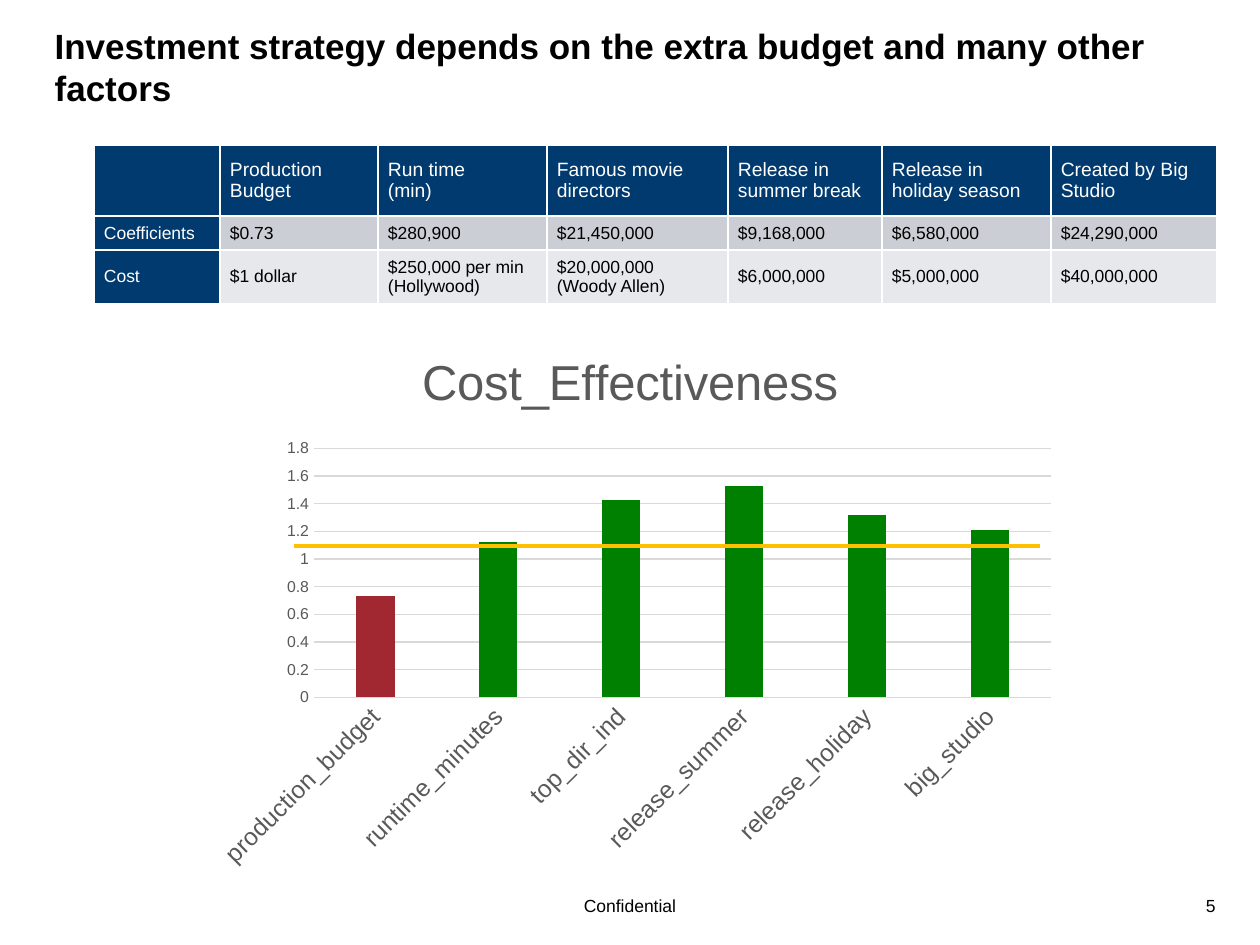
from lxml import etree
from pptx import Presentation
from pptx import util as u
from pptx.chart.data import CategoryChartData
from pptx.dml.color import RGBColor
from pptx.enum import chart as ch, shapes, text
from pptx.oxml import parse_xml
from pptx.oxml.ns import nsdecls, qn

BLACK = RGBColor(0x00, 0x00, 0x00)
WHITE = RGBColor(0xFF, 0xFF, 0xFF)
NAVY = RGBColor(0x00, 0x3A, 0x6F)
MID_GREY = RGBColor(0xCC, 0xCE, 0xD5)
PALE_GREY = RGBColor(0xE7, 0xE8, 0xEB)
AXIS_TEXT = RGBColor(0x59, 0x59, 0x59)
GRID = RGBColor(0xD9, 0xD9, 0xD9)
GREEN = RGBColor(0x00, 0x80, 0x00)
RED = RGBColor(0xA1, 0x28, 0x30)
AMBER = RGBColor(0xFF, 0xC0, 0x00)
FONT = "Arial"
LEFT, CENTER, RIGHT = text.PP_ALIGN.LEFT, text.PP_ALIGN.CENTER, text.PP_ALIGN.RIGHT


def px(*lengths):
    """Turn px (126 to the inch) into a list of EMU."""
    return [u.Emu(round(n * 914400 / 126)) for n in lengths]


def write(frame, lines, size, color, align=LEFT, bold=False):
    for i, line in enumerate(lines):
        para = frame.paragraphs[0] if i == 0 else frame.add_paragraph()
        para.alignment = align
        run = para.add_run()
        run.text = line
        run.font.name, run.font.size, run.font.bold = FONT, u.Pt(size), bold
        run.font.color.rgb = color


prs = Presentation()
prs.slide_width, prs.slide_height = px(1260, 945)
slide = prs.slides.add_slide(prs.slide_layouts[5])

# Title
title = slide.shapes.title
title.left, title.top, title.width, title.height = px(42, 18, 1176, 97)
title.text_frame.vertical_anchor = text.MSO_ANCHOR.MIDDLE
title.text_frame.auto_size = text.MSO_AUTO_SIZE.NONE
write(title.text_frame,
      ["Investment strategy depends on the extra budget and many other factors"],
      20, BLACK, bold=True)

# Footer and page number
for label, box, align in [("Confidential", (252, 889, 756, 34), CENTER),
                          ("5", (1171, 889, 57, 34), RIGHT)]:
    footer = slide.shapes.add_textbox(*px(*box)).text_frame
    footer.word_wrap = True
    write(footer, [label], 10, BLACK, align)

# Coefficients and costs
rows = [
    [[], ["Production Budget"], ["Run time", "(min)"], ["Famous movie directors"],
     ["Release in summer break"], ["Release in holiday season"],
     ["Created by Big Studio"]],
    [["Coefficients"], ["$0.73"], ["$280,900"], ["$21,450,000"], ["$9,168,000"],
     ["$6,580,000"], ["$24,290,000"]],
    [["Cost"], ["$1 dollar"], ["$250,000 per min (Hollywood)"],
     ["$20,000,000", "(Woody Allen)"], ["$6,000,000"], ["$5,000,000"],
     ["$40,000,000"]],
]
col_widths = [126, 158, 169, 181, 154, 169, 166]
row_heights = [71, 34, 54]
row_fills = [NAVY, MID_GREY, PALE_GREY]
costs = slide.shapes.add_table(
    len(rows), len(col_widths),
    *px(94, 145, sum(col_widths), sum(row_heights))).table
for column, width in zip(costs.columns, px(*col_widths)):
    column.width = width
for row, height in zip(costs.rows, px(*row_heights)):
    row.height = height
for r, row in enumerate(rows):
    for c, lines in enumerate(row):
        cell = costs.cell(r, c)
        heading = r == 0 or c == 0
        cell.fill.solid()
        cell.fill.fore_color.rgb = NAVY if heading else row_fills[r]
        cell.vertical_anchor = text.MSO_ANCHOR.MIDDLE
        cell.margin_left, cell.margin_right, cell.margin_top, cell.margin_bottom = px(10, 9, 0, 0)
        write(cell.text_frame, lines, 11 if r == 0 else 10, WHITE if heading else BLACK)

# Cost effectiveness chart
data = CategoryChartData()
data.categories = ["production_budget", "runtime_minutes", "top_dir_ind",
                   "release_summer", "release_holiday", "big_studio"]
data.add_series("Cost_Effectiveness", [0.73, 1.12, 1.43, 1.53, 1.32, 1.21])
chart = slide.shapes.add_chart(ch.XL_CHART_TYPE.COLUMN_CLUSTERED,
                               *px(191, 324, 878, 566), data).chart
chart.has_legend = False
chart.font.name, chart.font.size, chart.font.color.rgb = FONT, u.Pt(10), BLACK
chart.has_title = True
write(chart.chart_title.text_frame, ["Cost_Effectiveness"], 28, AXIS_TEXT, CENTER)
chart.chart_title.include_in_layout = False

for axis, size in [(chart.category_axis, 14), (chart.value_axis, 9)]:
    axis.major_tick_mark = axis.minor_tick_mark = ch.XL_TICK_MARK.NONE
    labels = axis.tick_labels.font
    labels.name, labels.size, labels.color.rgb = FONT, u.Pt(size), AXIS_TEXT
chart.category_axis.tick_labels.offset = 300
chart.category_axis.format.line.color.rgb = GRID
chart.category_axis.format.line.width = u.Pt(0.75)
chart.category_axis._element.find(qn("c:txPr")).find(qn("a:bodyPr")).set("rot", "-2700000")
values = chart.value_axis
values.minimum_scale, values.maximum_scale, values.major_unit = 0, 1.8, 0.2
values.tick_labels.number_format = "General"
values.tick_labels.number_format_is_linked = False
values.format.line.fill.background()
values.major_gridlines.format.line.color.rgb = GRID
values.major_gridlines.format.line.width = u.Pt(0.75)

bars = chart.plots[0]
bars.gap_width, bars.overlap, bars.vary_by_categories = 219, -27, False
effectiveness = bars.series[0]
for bar, color in [(effectiveness, GREEN), (effectiveness.points[0], RED)]:
    bar.format.fill.solid()
    bar.format.fill.fore_color.rgb = color

# Fix the plot area inside the chart, leaving room for the slanted labels
plot_area = chart._chartSpace.chart.plotArea
for old in plot_area.findall(qn("c:layout")):
    plot_area.remove(old)
layout = parse_xml(f'<c:layout {nsdecls("c")}><c:manualLayout/></c:layout>')
for tag, val in [("layoutTarget", "inner"), ("xMode", "edge"), ("yMode", "edge"),
                 ("x", "0.14"), ("y", "0.22"), ("w", "0.84"), ("h", "0.44")]:
    etree.SubElement(layout[0], qn(f"c:{tag}")).set("val", val)
plot_area.insert(0, layout)

# Break-even line
break_even = slide.shapes.add_connector(shapes.MSO_CONNECTOR.STRAIGHT,
                                        *px(294, 546, 1040, 546))
break_even.line.color.rgb = AMBER
break_even.line.width = u.Pt(1.75)
etree.SubElement(break_even._element.spPr, qn("a:effectLst"))

prs.save("out.pptx")
